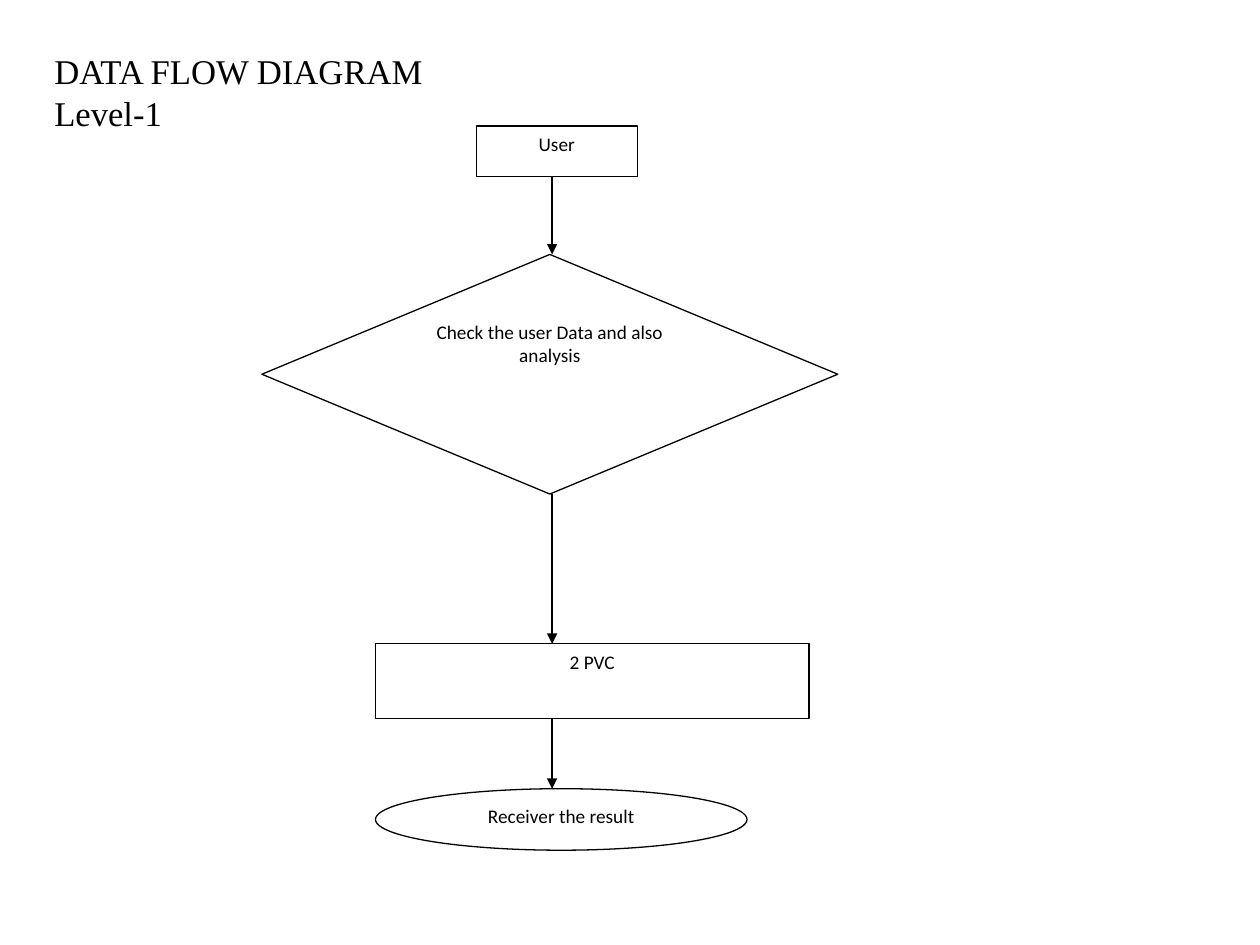
from itertools import pairwise

from lxml.etree import SubElement
from pptx import Presentation
from pptx.dml.color import RGBColor
from pptx.enum.shapes import MSO_CONNECTOR, MSO_SHAPE
from pptx.enum.text import MSO_ANCHOR, MSO_AUTO_SIZE, PP_ALIGN
from pptx.oxml.ns import qn
from pptx.util import Cm, Pt

THEME = {
    "ink": RGBColor(0, 0, 0),
    "paper": RGBColor(255, 255, 255),
    "title_font": "Times New Roman",
    "title_size": Pt(19.8),
    "title_pitch": Pt(24),
    "step_font": "Calibri",
    "step_size": Pt(11),
    "line_width": Pt(0.75),
}
FLOW_AXIS = Cm(11.13)

# Label, outline, then left, top, width and height in centimetres
STEPS = [
    ("User", MSO_SHAPE.RECTANGLE, 9.6, 2.54, 3.25, 1.02),
    ("Check the user Data and also analysis", MSO_SHAPE.DIAMOND, 5.28, 5.13, 11.61, 4.83),
    ("2 PVC", MSO_SHAPE.RECTANGLE, 7.57, 12.98, 8.74, 1.5),
    ("Receiver the result", MSO_SHAPE.OVAL, 7.57, 15.9, 7.49, 1.24),
]


def add_styled_run(paragraph, text, font_name, size):
    run = paragraph.add_run()
    run.text = text
    run.font.name = font_name
    run.font.size = size
    run.font.color.rgb = THEME["ink"]


def style_line(line):
    line.color.rgb = THEME["ink"]
    line.width = THEME["line_width"]


deck = Presentation()
deck.slide_width, deck.slide_height = Cm(25.4), Cm(19.05)
slide = deck.slides.add_slide(deck.slide_layouts[5])

heading = slide.shapes.title
heading.left, heading.top = Cm(0.84), Cm(0.99)
heading.width, heading.height = Cm(22.86), Cm(3.18)
heading_text = heading.text_frame
heading_text.auto_size = MSO_AUTO_SIZE.NONE
heading_text.vertical_anchor = MSO_ANCHOR.TOP
heading_text.margin_top = 0
heading_line = heading_text.paragraphs[0]
heading_line.alignment = PP_ALIGN.LEFT
heading_line.line_spacing = THEME["title_pitch"]
add_styled_run(heading_line, "DATA FLOW DIAGRAM", THEME["title_font"], THEME["title_size"])
heading_line.add_line_break()
add_styled_run(heading_line, "Level-1", THEME["title_font"], THEME["title_size"])

flow = []
for label, outline, *box in STEPS:
    step = slide.shapes.add_shape(outline, *map(Cm, box))
    step.shadow.inherit = False
    step.fill.solid()
    step.fill.fore_color.rgb = THEME["paper"]
    style_line(step.line)
    step.text_frame.word_wrap = True
    step.text_frame.vertical_anchor = MSO_ANCHOR.TOP
    caption = step.text_frame.paragraphs[0]
    caption.alignment = PP_ALIGN.CENTER
    caption.space_after = Pt(10)
    add_styled_run(caption, label, THEME["step_font"], THEME["step_size"])
    flow.append(step)

for source, target in pairwise(flow):
    arrow = slide.shapes.add_connector(
        MSO_CONNECTOR.STRAIGHT, FLOW_AXIS, source.top + source.height, FLOW_AXIS, target.top
    )
    style_line(arrow.line)
    SubElement(arrow.line._get_or_add_ln(), qn("a:tailEnd"), type="triangle")
    SubElement(arrow._element.spPr, qn("a:effectLst"))

deck.save("out.pptx")
